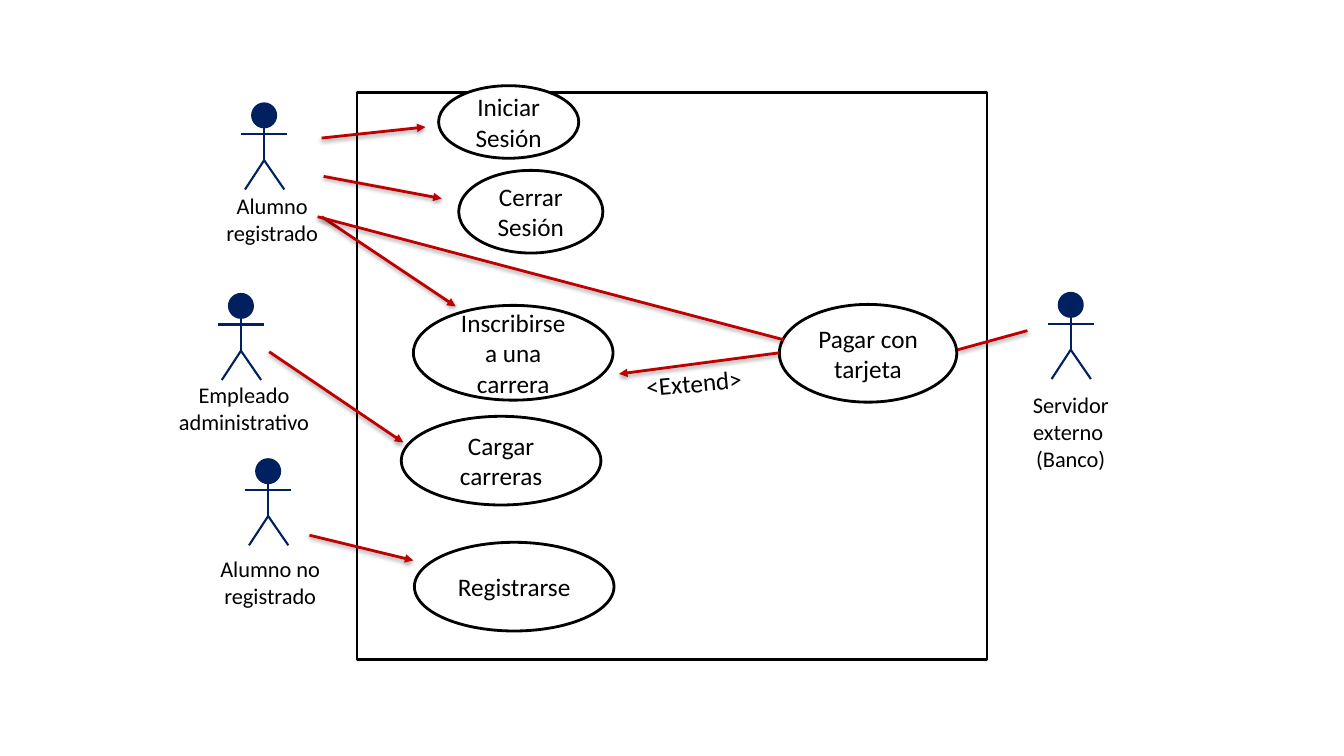
from lxml.etree import SubElement
from pptx import Presentation
from pptx.dml.color import RGBColor
from pptx.enum.shapes import MSO_CONNECTOR, MSO_SHAPE
from pptx.enum.text import MSO_ANCHOR, MSO_AUTO_SIZE, PP_ALIGN
from pptx.oxml.ns import qn
from pptx.util import Inches, Pt

COLORS = {"ink": "000000", "paper": "FFFFFF", "actor": "002060", "link": "C00000"}
FONT = "Calibri"
SYSTEM_BOUNDARY = (3.54, 0.92, 6.25, 5.62)

# Centre x and top of each figure, in inches
ACTORS = [(2.66, 4.56), (10.62, 2.91), (2.62, 1.03), (2.39, 2.92)]
HEAD = 0.23
# Body, arms and legs, measured from the figure's centre x and top
LIMBS = [
    ((0, 0.23), (0, 0.56)),
    ((-0.23, 0.3), (0.23, 0.3)),
    ((0, 0.56), (0.2, 0.85)),
    ((0, 0.56), (-0.19, 0.85)),
]

# Paragraphs, place, size, alignment, rotation
LABELS = [
    (["<Extend>"], (6.31, 3.59, 1.31, 0.4), 18, PP_ALIGN.LEFT, 355),
    (["Alumno no registrado"], (1.99, 5.46, 1.38, 0.64), 16, PP_ALIGN.CENTER, 0),
    (["Servidor externo ", "(Banco)"], (10.03, 3.83, 1.18, 0.91), 16, PP_ALIGN.CENTER, 0),
    (["Alumno registrado"], (2.06, 1.86, 1.28, 0.64), 16, PP_ALIGN.CENTER, 0),
    (["Empleado administrativo"], (1.61, 3.73, 1.62, 0.64), 16, PP_ALIGN.CENTER, 0),
]

USE_CASES = [
    ("Iniciar Sesión", (4.35, 0.85, 1.39, 0.72)),
    ("Cerrar Sesión", (4.55, 1.69, 1.43, 0.82)),
    ("Pagar con tarjeta", (7.73, 3.02, 1.76, 0.97)),
    ("Inscribirse a una carrera", (4.1, 3.03, 1.98, 0.94)),
    ("Registrarse", (4.11, 5.38, 1.98, 0.88)),
    ("Cargar carreras", (3.98, 4.13, 1.98, 0.88)),
]

# Start, end, arrowhead at the end
LINKS = [
    ((3.07, 5.31), (4.1, 5.56), True),
    ((7.73, 3.5), (6.14, 3.71), True),
    ((9.5, 3.47), (10.19, 3.28), False),
    ((3.19, 1.37), (4.22, 1.26), True),
    ((3.21, 1.75), (4.38, 1.97), True),
    ((3.19, 2.15), (4.52, 3.04), True),
    ((2.67, 3.49), (4, 4.39), True),
    ((3.15, 2.15), (7.77, 3.37), False),
]


def color(name):
    return RGBColor.from_string(COLORS[name])


def add_outlined(shapes, kind, place, fill, line):
    shape = shapes.add_shape(kind, *map(Inches, place))
    shape.shadow.inherit = False
    shape.fill.solid()
    shape.fill.fore_color.rgb = color(fill)
    shape.line.color.rgb = color(line)
    shape.line.width = Pt(2)
    return shape


def add_line(shapes, start, end, name, width):
    """Add a straight line and return it with its empty effect list."""
    line = shapes.add_connector(MSO_CONNECTOR.STRAIGHT, *map(Inches, (*start, *end)))
    line.line.color.rgb = color(name)
    line.line.width = Pt(width)
    effects = SubElement(line._element.spPr, qn("a:effectLst"))
    return line, effects


def add_link(shapes, start, end, arrow):
    line, effects = add_line(shapes, start, end, "link", 2)
    if arrow:
        SubElement(line.line._get_or_add_ln(), qn("a:tailEnd"), type="triangle")
    shadow = SubElement(effects, qn("a:outerShdw"), blurRad="40000", dist="20000",
                        dir="5400000", rotWithShape="0")
    shade = SubElement(shadow, qn("a:srgbClr"), val=COLORS["ink"])
    SubElement(shade, qn("a:alpha"), val="37000")


def add_actor(shapes, center, top):
    figure = shapes.add_group_shape().shapes
    add_outlined(figure, MSO_SHAPE.OVAL, (center - HEAD / 2, top, HEAD, HEAD),
                 "actor", "actor")
    for limb in LIMBS:
        start, end = [(center + x, top + y) for x, y in limb]
        add_line(figure, start, end, "actor", 1.5)


def write(frame, paragraphs, size, alignment):
    frame.word_wrap = True
    for index, text in enumerate(paragraphs):
        para = frame.add_paragraph() if index else frame.paragraphs[0]
        para.alignment = alignment
        span = para.add_run()
        span.text = text
        for name, value in {"name": FONT, "size": Pt(size)}.items():
            setattr(span.font, name, value)
        span.font.color.rgb = color("ink")


def main():
    deck = Presentation()
    deck.slide_width, deck.slide_height = Inches(13.33), Inches(7.5)
    shapes = deck.slides.add_slide(deck.slide_layouts[6]).shapes

    add_outlined(shapes, MSO_SHAPE.RECTANGLE, SYSTEM_BOUNDARY, "paper", "ink")
    for center, top in ACTORS:
        add_actor(shapes, center, top)
    for paragraphs, place, size, alignment, rotation in LABELS:
        box = shapes.add_textbox(*map(Inches, place))
        box.rotation = rotation
        write(box.text_frame, paragraphs, size, alignment)
        box.text_frame.auto_size = MSO_AUTO_SIZE.SHAPE_TO_FIT_TEXT
    for text, place in USE_CASES:
        oval = add_outlined(shapes, MSO_SHAPE.OVAL, place, "paper", "ink")
        oval.text_frame.vertical_anchor = MSO_ANCHOR.MIDDLE
        write(oval.text_frame, [text], 18, PP_ALIGN.CENTER)
    for start, end, arrow in LINKS:
        add_link(shapes, start, end, arrow)

    deck.save("out.pptx")


if __name__ == "__main__":
    main()
